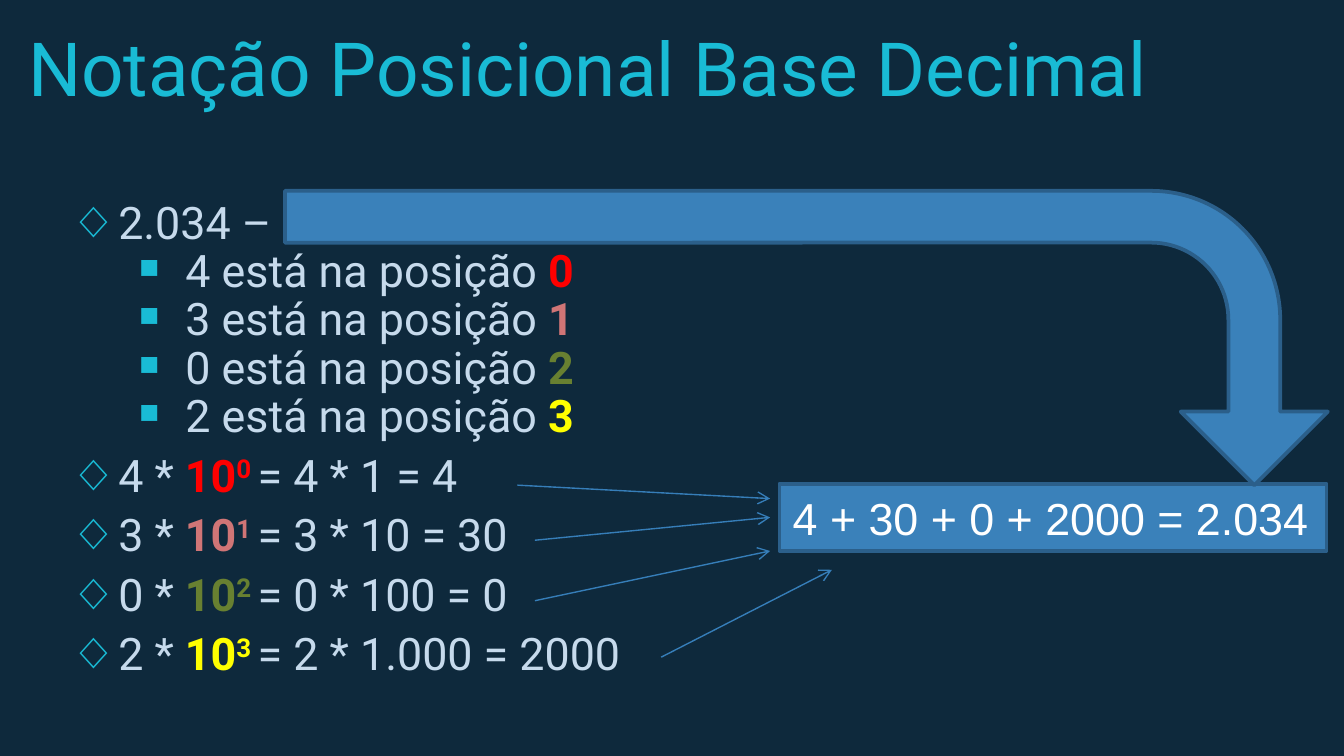
from lxml.etree import SubElement
from pptx import Presentation
from pptx.dml.color import RGBColor
from pptx.enum.shapes import MSO_CONNECTOR, MSO_SHAPE
from pptx.enum.text import MSO_ANCHOR, MSO_AUTO_SIZE, PP_ALIGN
from pptx.oxml.ns import qn
from pptx.util import Inches, Pt

NAVY = RGBColor(0x0E, 0x29, 0x3C)
CYAN = RGBColor(0x19, 0xBB, 0xD5)
PALE = RGBColor(0xC6, 0xDA, 0xEC)
BLUE = RGBColor(0x3A, 0x81, 0xBA)
EDGE = RGBColor(0x2B, 0x5F, 0x8A)
WIRE = RGBColor(0x36, 0x7E, 0xB9)
WHITE = RGBColor(0xFF, 0xFF, 0xFF)
RED = RGBColor(0xFF, 0x00, 0x00)
ROSE = RGBColor(0xD0, 0x75, 0x76)
OLIVE = RGBColor(0x68, 0x80, 0x31)
YELLOW = RGBColor(0xFF, 0xFF, 0x00)

DIGITS = [
    ("4", RED, "= 4 * 1 = 4"),
    ("3", ROSE, "= 3 * 10 = 30"),
    ("0", OLIVE, "= 0 * 100 = 0"),
    ("2", YELLOW, "= 2 * 1.000 = 2000"),
]


def place(shape, box):
    """Move a shape to a box given in inches."""
    shape.left, shape.top, shape.width, shape.height = map(Inches, box)


def set_frame(frame, anchor):
    """Give a placeholder's text frame even insets and a fixed size."""
    frame.margin_left = frame.margin_right = Inches(0.1)
    frame.margin_top = frame.margin_bottom = Inches(0.1)
    frame.auto_size = MSO_AUTO_SIZE.NONE
    frame.word_wrap = True
    frame.vertical_anchor = anchor


def add_run(para, text, color=PALE, bold=False, raised=False):
    """Append a coloured run, raised if it is an exponent."""
    run = para.add_run()
    run.text = text
    run.font.color.rgb = color
    run.font.bold = bold
    if raised:
        run._r.get_or_add_rPr().set("baseline", "30000")


def set_item(para, level, mark, indent, before):
    """Format a paragraph as a list item."""
    para.level = level
    para.alignment = PP_ALIGN.LEFT
    para.line_spacing = 0.9
    para.space_before = Pt(before)
    props = para._p.get_or_add_pPr()
    props.set("marL", str(Inches(indent)))
    props.set("indent", str(Inches(-0.35)))
    tint = SubElement(props, qn("a:buClr"))
    SubElement(tint, qn("a:srgbClr")).set("val", str(CYAN))
    SubElement(props, qn("a:buChar")).set("char", mark)
    para.font.name = "Roboto"
    para.font.size = Pt(24)


def fill_title(title, box):
    """Write the slide title."""
    place(title, box)
    set_frame(title.text_frame, MSO_ANCHOR.BOTTOM)
    para = title.text_frame.paragraphs[0]
    para.text = "Notação Posicional Base Decimal"
    para.alignment = PP_ALIGN.LEFT
    para.font.name = "Roboto"
    para.font.size = Pt(40)
    para.font.color.rgb = CYAN


def fill_list(body, box):
    """Write the digit positions and their powers of ten."""
    place(body, box)
    frame = body.text_frame
    set_frame(frame, MSO_ANCHOR.TOP)
    first = frame.paragraphs[0]
    set_item(first, 0, "◇", 0.5, 0)
    add_run(first, "2.034 –")
    for power, (digit, color, _) in enumerate(DIGITS):
        para = frame.add_paragraph()
        set_item(para, 1, "￭", 1, 0)
        add_run(para, f"{digit} está na posição ")
        add_run(para, str(power), color, True)
    for power, (digit, color, result) in enumerate(DIGITS):
        para = frame.add_paragraph()
        set_item(para, 0, "◇", 0.5, 6)
        add_run(para, f"{digit} * ")
        add_run(para, "10", color, True)
        add_run(para, f"{power} ", color, True, True)
        add_run(para, result)


def add_block(slide, kind, box):
    """Add a blue outlined shape."""
    shape = slide.shapes.add_shape(kind, *map(Inches, box))
    shape.shadow.inherit = False
    shape.fill.solid()
    shape.fill.fore_color.rgb = BLUE
    shape.line.color.rgb = EDGE
    shape.line.width = Pt(2)
    return shape


def add_sum(slide, box):
    """Add the box with the total."""
    frame = add_block(slide, MSO_SHAPE.RECTANGLE, box).text_frame
    frame.word_wrap = False
    frame.auto_size = MSO_AUTO_SIZE.SHAPE_TO_FIT_TEXT
    frame.vertical_anchor = MSO_ANCHOR.TOP
    para = frame.paragraphs[0]
    para.text = "4 + 30 + 0 + 2000 = 2.034"
    para.alignment = PP_ALIGN.LEFT
    para.font.name = "Arial"
    para.font.size = Pt(24)
    para.font.color.rgb = WHITE


def add_bend(slide, box):
    """Add the bent arrow, turned a quarter to fill the box."""
    left, top, width, height = box
    shift = (width - height) / 2
    turned = (left + shift, top - shift, height, width)
    bend = add_block(slide, MSO_SHAPE.BENT_ARROW, turned)
    bend.rotation = 90
    for index, value in enumerate((0.176, 0.25, 0.25, 0.438)):
        bend.adjustments[index] = value


def add_links(slide, box):
    """Add the thin arrows that lead from each product to the sum."""
    left, top, width, height = box
    ends = [
        (0, 0, 1.88, 0.1),
        (0.13, 0.41, 1.88, 0.24),
        (0.13, 0.86, 1.88, 0.49),
        (1.07, height, width, 0.63),
    ]
    for x1, y1, x2, y2 in ends:
        points = (left + x1, top + y1, left + x2, top + y2)
        link = slide.shapes.add_connector(
            MSO_CONNECTOR.STRAIGHT, *map(Inches, points))
        link.line.color.rgb = WIRE
        link.line.width = Pt(0.75)
        SubElement(link.line._get_or_add_ln(), qn("a:tailEnd")).set("type", "arrow")
        SubElement(link._element.spPr, qn("a:effectLst"))


def main():
    """Build and save the slide."""
    deck = Presentation()
    deck.slide_width = Inches(10)
    deck.slide_height = deck.slide_width * 9 // 16
    slide = deck.slides.add_slide(deck.slide_layouts[1])
    slide.background.fill.solid()
    slide.background.fill.fore_color.rgb = NAVY
    fill_title(slide.shapes.title, (0.11, 0.22, 9.8, 0.71))
    fill_list(slide.placeholders[1], (0.28, 1.39, 9.5, 1.82))
    add_sum(slide, (5.8, 3.6, 4.07, 0.5))
    add_links(slide, (3.85, 3.61, 2.34, 1.28))
    add_bend(slide, (2.12, 1.42, 7.76, 2.19))
    deck.save("out.pptx")


if __name__ == "__main__":
    main()
